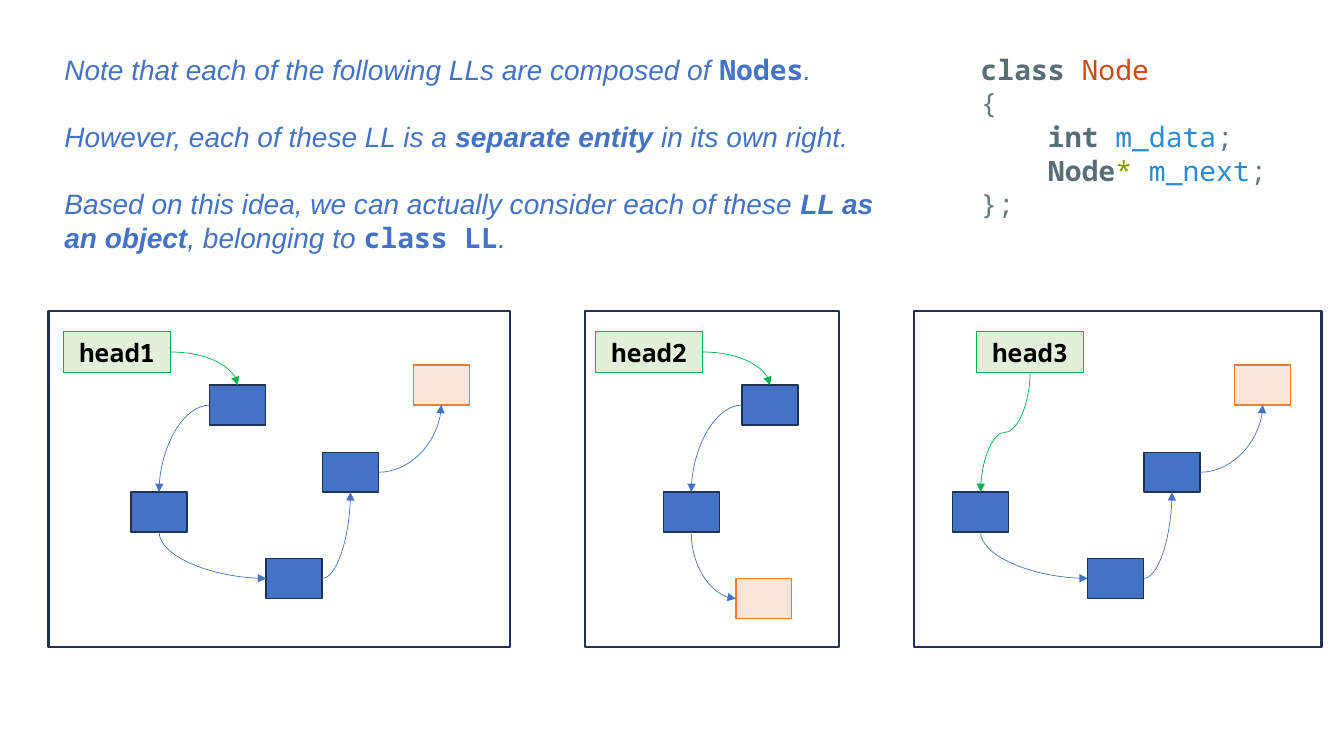
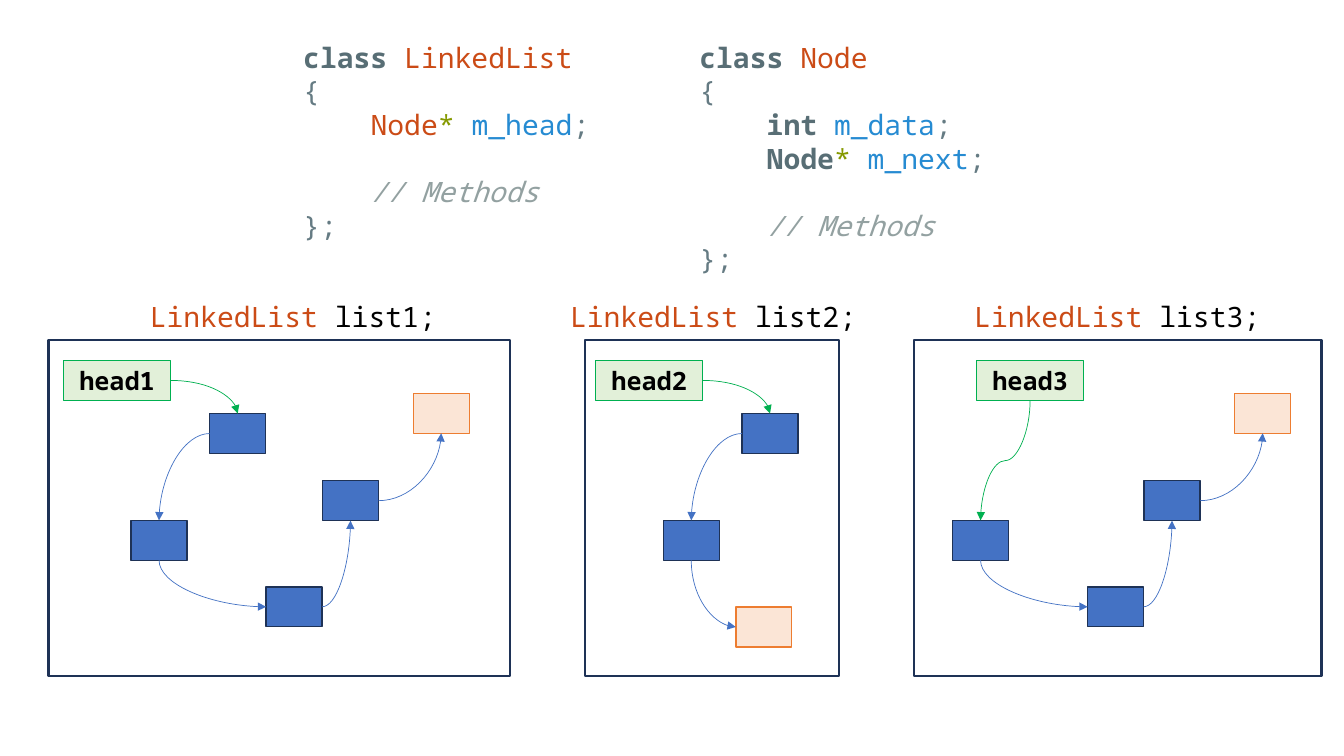
from dataclasses import dataclass

from lxml.etree import SubElement
from pptx import Presentation
from pptx.dml.color import RGBColor
from pptx.enum.shapes import MSO_CONNECTOR, MSO_SHAPE
from pptx.enum.text import MSO_ANCHOR, PP_ALIGN
from pptx.oxml.ns import qn
from pptx.util import Pt

TOP, LEFT, BOTTOM, RIGHT = range(4)


@dataclass(frozen=True)
class Style:
    """Look of a span of text."""

    color: str
    font: str = "Noto Sans Mono"
    bold: bool = False
    italic: bool = False


@dataclass(frozen=True)
class Theme:
    """Colours and type sizes shared by the slides."""

    node: str = "4472C4"
    edge: str = "1E3256"
    null_fill: str = "FBE5D6"
    null_edge: str = "ED7D31"
    head_fill: str = "E2F0D9"
    head_edge: str = "00B050"
    text_size: int = 20
    head_size: int = 18
    line_pitch: int = 24


THEME = Theme()
STYLES = {
    "keyword": Style("586E75", bold=True),
    "type": Style("CB4B16"),
    "mark": Style("657B83"),
    "name": Style("268BD2"),
    "star": Style("859900"),
    "comment": Style("93A1A1", italic=True),
    "plain": Style("000000"),
    "head": Style("000000", bold=True),
    "note": Style(THEME.node, "Arial", italic=True),
    "strong": Style(THEME.node, "Arial", bold=True, italic=True),
    "code": Style(THEME.node, bold=True),
}


@dataclass(frozen=True)
class Stop:
    """A node, placed from the list's pivot node, with the sides its arrows use."""

    across: float
    down: float
    arrive: int
    leave: int = RIGHT


@dataclass(frozen=True)
class LinkedList:
    """One framed list: its frame, pivot node, head box and stops."""

    number: int
    left: float
    width: float
    pivot: float
    head: float
    head_leave: int
    label: float
    stops: tuple


FIRST = Stop(56.2, -76.3, TOP, LEFT)
PIVOT = Stop(0, 0, TOP, BOTTOM)
RISE = (Stop(96.5, 47.5, LEFT), Stop(136.8, -28.3, BOTTOM), Stop(201.6, -90.7, BOTTOM))
LISTS = (
    LinkedList(1, 34.6, 329.8, 59, 10.8, RIGHT, 64.1, (FIRST, PIVOT, *RISE)),
    LinkedList(2, 417.6, 181.6, 56.2, 7.9, RIGHT, -18.7, (FIRST, PIVOT, Stop(51.8, 61.9, LEFT))),
    LinkedList(3, 653, 291, 27.4, 44.6, BOTTOM, 34.6, (PIVOT, *RISE)),
)
FRAME_HEIGHT = 239.8
PIVOT_TOP = 128.9
HEAD_TOP = 14.4
NODE_SIZE = (40, 28.5)
HEAD_SIZE = (76.4, 29.1)

OPENING = [("{", "mark")]
CLOSING = [("};", "mark")]
METHODS = [("    // Methods", "comment")]
NODE_FIELDS = [
    [("class ", "keyword"), ("Node", "type")],
    OPENING,
    [("    ", "mark"), ("int ", "keyword"), ("m_data", "name"), (";", "mark")],
    [("    ", "mark"), ("Node", "keyword"), ("* ", "star"), ("m_next", "name"), (";", "mark")],
]
LIST_FIELDS = [
    [("class ", "keyword"), ("LinkedList", "type")],
    OPENING,
    [("    ", "mark"), ("Node", "type"), ("* ", "star"), ("m_head", "name"), (";", "mark")],
]
NOTES = [
    [("Note that each of the following LLs are composed of ", "note"), ("Nodes", "code"), (".", "note")],
    [("However, each of these LL is a ", "note"), ("separate entity ", "strong"),
     ("in its own right.", "note")],
    [("Based on this idea, we can actually consider each of these ", "note"),
     ("LL as an object", "strong"), (", belonging to ", "note"), ("class LL", "code"), (".", "note")],
]


def add_spans(para, spans, size):
    """Write styled spans into a paragraph."""
    for text, key in spans:
        style = STYLES[key]
        span = para.add_run()
        span.text = text
        span.font.name = style.font
        span.font.size = Pt(size)
        span.font.bold = style.bold
        span.font.italic = style.italic
        span.font.color.rgb = RGBColor.from_string(style.color)


def add_text(page, left, top, width, height, lines, spaced=(), align=PP_ALIGN.LEFT):
    """Add a text box; the lines numbered in spaced have one line's gap above."""
    frame = page.shapes.add_textbox(Pt(left), Pt(top), Pt(width), Pt(height)).text_frame
    frame.word_wrap = True
    for index, spans in enumerate(lines):
        para = frame.add_paragraph() if index else frame.paragraphs[0]
        para.alignment = align
        if index in spaced:
            para.space_before = Pt(THEME.line_pitch)
        add_spans(para, spans, THEME.text_size)


def add_box(page, left, top, width, height, fill, edge, weight):
    """Add a rectangle, unfilled when fill is None."""
    box = page.shapes.add_shape(MSO_SHAPE.RECTANGLE, Pt(left), Pt(top), Pt(width), Pt(height))
    box.shadow.inherit = False
    if fill:
        box.fill.solid()
        box.fill.fore_color.rgb = RGBColor.from_string(fill)
    else:
        box.fill.background()
    box.line.color.rgb = RGBColor.from_string(edge)
    box.line.width = Pt(weight)
    return box


def add_link(page, source, leave, target, arrive, color):
    """Join two boxes with a curved arrow."""
    link = page.shapes.add_connector(MSO_CONNECTOR.CURVE, 0, 0, 0, 0)
    link.begin_connect(source, leave)
    link.end_connect(target, arrive)
    link.line.color.rgb = RGBColor.from_string(color)
    link.line.width = Pt(0.5)
    properties = link._element.spPr
    SubElement(properties.find(qn("a:ln")), qn("a:tailEnd"), type="triangle")
    SubElement(properties, qn("a:effectLst"))
    straight_through = leave == BOTTOM and arrive == TOP
    if not straight_through:
        properties.find(qn("a:prstGeom")).set("prst", "curvedConnector2")
    if leave == BOTTOM:
        turn_link(link, 90 if straight_through else 270, not straight_through)


def turn_link(link, degrees, flipped):
    """Turn a link by a quarter so that it leaves downwards."""
    middle_x = (link.begin_x + link.end_x) // 2
    middle_y = (link.begin_y + link.end_y) // 2
    width, height = link.height, link.width
    link.left, link.top = middle_x - width // 2, middle_y - height // 2
    link.width, link.height = width, height
    transform = link._element.spPr.find(qn("a:xfrm"))
    transform.set("rot", str(degrees * 60000))
    transform.set("flipH", str(int(flipped)))


def add_head(page, left, top, number):
    """Add the green box that names a list's head pointer."""
    head = add_box(page, left, top, *HEAD_SIZE, THEME.head_fill, THEME.head_edge, 0.75)
    head.text_frame.word_wrap = False
    head.text_frame.vertical_anchor = MSO_ANCHOR.MIDDLE
    para = head.text_frame.paragraphs[0]
    para.alignment = PP_ALIGN.CENTER
    add_spans(para, [(f"head{number}", "head")], THEME.head_size)
    return head


def add_list(page, top, chain):
    """Draw one framed linked list with its top edge at top."""
    add_box(page, chain.left, top, chain.width, FRAME_HEIGHT, None, THEME.edge, 1.5)
    source = add_head(page, chain.left + chain.head, top + HEAD_TOP, chain.number)
    leave, color = chain.head_leave, THEME.head_edge
    for stop in chain.stops:
        is_null = stop is chain.stops[-1]
        fill = THEME.null_fill if is_null else THEME.node
        edge = THEME.null_edge if is_null else THEME.edge
        node = add_box(page, chain.left + chain.pivot + stop.across,
                       top + PIVOT_TOP + stop.down, *NODE_SIZE, fill, edge, 1)
        add_link(page, source, leave, node, stop.arrive, color)
        source, leave, color = node, stop.leave, THEME.node


def add_notes_slide(page):
    """Build the slide that introduces lists as objects."""
    add_text(page, 693.4, 33.8, 227.5, 128.2, NODE_FIELDS + [CLOSING])
    add_text(page, 38.9, 33.8, 619.2, 152.6, NOTES, spaced=(1, 2))
    for chain in LISTS:
        add_list(page, 222.5, chain)


def add_classes_slide(page):
    """Build the slide that declares both classes and three lists."""
    top = 242.8
    add_text(page, 492.5, 25.2, 227.5, 177.1, NODE_FIELDS + [METHODS, CLOSING], spaced=(4,))
    add_text(page, 209.5, 25.2, 231.1, 152.6, LIST_FIELDS + [METHODS, CLOSING], spaced=(3,))
    for chain in LISTS:
        add_list(page, top, chain)
        declaration = [("LinkedList", "type"), (f" list{chain.number};", "plain")]
        add_text(page, chain.left + chain.label, top - 32.4, 221, 31.7, [declaration],
                 align=PP_ALIGN.CENTER)


def main():
    """Build and save the deck."""
    deck = Presentation()
    deck.slide_width, deck.slide_height = Pt(960), Pt(540)
    for build in (add_notes_slide, add_classes_slide):
        build(deck.slides.add_slide(deck.slide_layouts[6]))
    deck.save("out.pptx")


if __name__ == "__main__":
    main()
